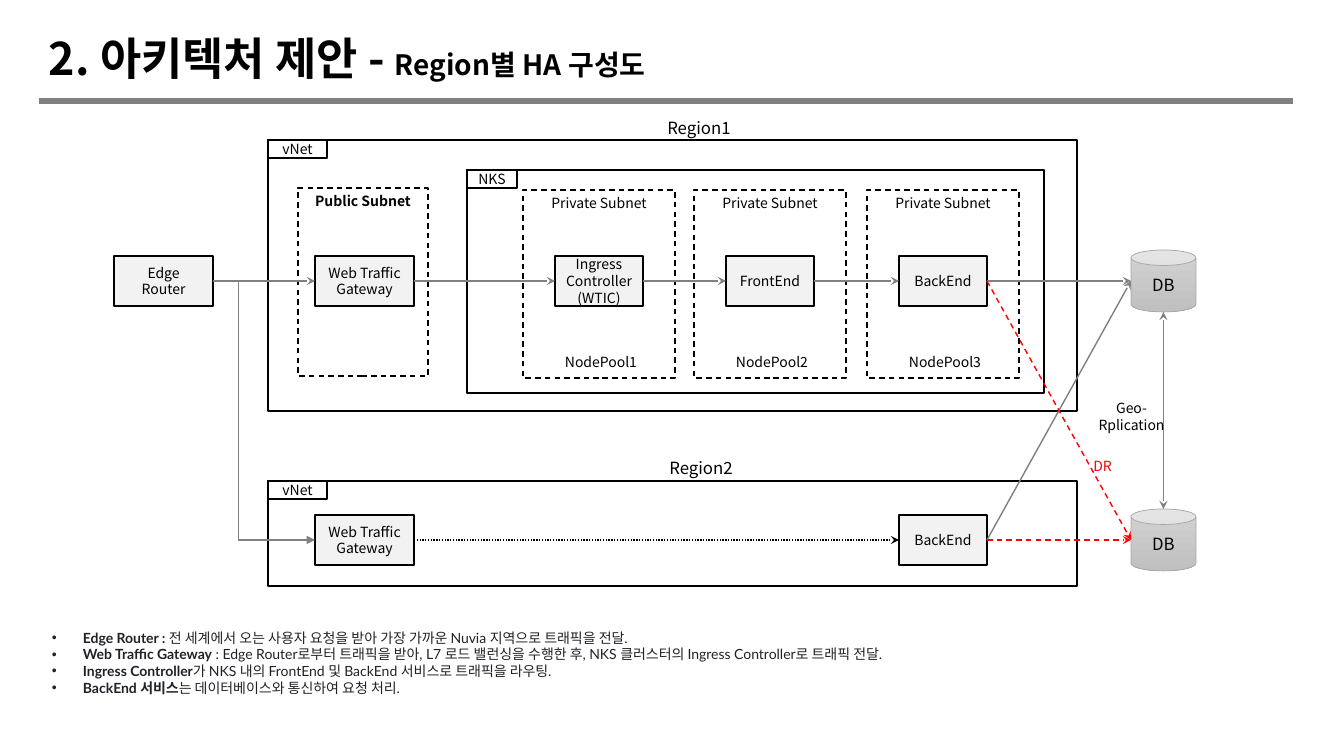
from lxml import etree
from pptx import Presentation
from pptx.dml.color import RGBColor
from pptx.enum.dml import MSO_LINE
from pptx.enum.shapes import MSO_CONNECTOR, MSO_SHAPE
from pptx.enum.text import MSO_ANCHOR, PP_ALIGN
from pptx.oxml.ns import qn
from pptx.util import Emu, Pt

RECT, CAN = MSO_SHAPE.RECTANGLE, MSO_SHAPE.CAN
LINE, ELBOW = MSO_CONNECTOR.STRAIGHT, MSO_CONNECTOR.ELBOW
DASH, DOT = MSO_LINE.DASH, MSO_LINE.ROUND_DOT
MID, TOP = MSO_ANCHOR.MIDDLE, MSO_ANCHOR.TOP
LEFT, CENTER = PP_ALIGN.LEFT, PP_ALIGN.CENTER
SCALE = 914400 / 100.8
SANS, LATO = "Noto Sans CJK KR", "Lato"
COLORS = {"white": "FFFFFF", "black": "000000", "box": "F2F2F2", "gray": "808080",
          "red": "FF0000", "ink": "1F2328", "light": "D2D2D2", "dark": "C0C0C0",
          "rim": "A5A5A5"}

TITLE = [("2. 아키텍처 제안 - ", 32), ("Region별 HA 구성도", 20)]
NOTES = [
    ("Edge Router : ", "전 세계에서 오는 사용자 요청을 받아 가장 가까운 Nuvia 지역으로 트래픽을 전달."),
    ("Web Traffic Gateway", " : Edge Router로부터 트래픽을 받아, L7 로드 밸런싱을 수행한 후, "
     "NKS 클러스터의 Ingress Controller로 트래픽 전달."),
    ("Ingress Controller", "가 NKS 내의 FrontEnd 및 BackEnd 서비스로 트래픽을 라우팅."),
    ("BackEnd 서비스", "는 데이터베이스와 통신하여 요청 처리."),
]
FRAMES = [
    ("vNet", 59, (268, 140, 809, 271)),
    ("NKS", 50, (467, 170, 577, 223)),
    ("vNet", 59, (268, 481, 809, 105)),
]
PUBLIC = (298, 188, 130, 188)
POOLS = [523, 694, 867]
ROWS = [281, 540]
BOXES = {
    "edge": (114, 99, 0, ["Edge", "Router"]),
    "gate": (315, 99, 0, ["Web Traffic", "Gateway"]),
    "ingress": (POOLS[0] + 32, 88, 0, ["Ingress", "Controller", "(WTIC)"]),
    "front": (POOLS[1] + 32, 88, 0, ["FrontEnd"]),
    "back": (POOLS[2] + 32, 88, 0, ["BackEnd"]),
    "gate2": (315, 99, 1, ["Web Traffic", "Gateway"]),
    "back2": (POOLS[2] + 32, 88, 1, ["BackEnd"]),
}
DB = (1131, 65, 62)
LINKS = [
    ("edge", "gate", "gray", None),
    ("gate", "ingress", "gray", None),
    ("ingress", "front", "gray", None),
    ("front", "back", "gray", None),
    ("back", 0, "gray", None),
    ("gate2", "back2", "black", DOT),
    ("back2", 0, "gray", None),
    ("back", 1, "red", DASH),
    ("back2", 1, "red", DASH),
]
LABELS = [
    ((657, 113, 84, 30), ["Region1"], 12, "black"),
    ((659, 453, 84, 30), ["Region2"], 12, "black"),
    ((1073, 455, 59, 21), ["DR"], 10, "red"),
    ((1087, 403, 89, 26), ["Geo-", "Rplication"], 10, "black"),
]

deck = Presentation()
deck.slide_width, deck.slide_height = Emu(12192000), Emu(6858000)
slide = deck.slides.add_slide(deck.slide_layouts[6])
shapes = slide.shapes


def px(*vals):
    return [Emu(round(v * SCALE)) for v in vals]


def rgb(name):
    return RGBColor.from_string(COLORS[name])


def sub(node, tag, **attrs):
    return etree.SubElement(node, qn(tag), attrs)


def add_run(para, text, size, color="black", bold=False, face=SANS):
    run = para.add_run()
    run.text = text
    font = run.font
    font.size, font.bold, font.name = Pt(size), bold, face
    font.color.rgb = rgb(color)
    sub(run.font._element, "a:ea", typeface=SANS)


def set_frame(shape, inset=(0, 0), anchor=MID):
    frame = shape.text_frame
    frame.word_wrap, frame.vertical_anchor = True, anchor
    frame.margin_left, frame.margin_top = px(*inset)
    frame.margin_right, frame.margin_bottom = px(*inset)
    return frame


def write(shape, lines, size=10, color="black", bold=False):
    frame = set_frame(shape)
    for i, text in enumerate(lines):
        para = frame.add_paragraph() if i else frame.paragraphs[0]
        para.alignment = CENTER
        add_run(para, text, size, color, bold)


def add_label(area, lines, size=10, color="black", bold=False):
    write(shapes.add_textbox(*px(*area)), lines, size, color, bold)


def add_box(area, fill="white", dash=None):
    box = shapes.add_shape(RECT, *px(*area))
    box.shadow.inherit = False
    box.fill.solid()
    box.fill.fore_color.rgb = rgb(fill)
    box.line.color.rgb = rgb("black")
    box.line.width = Pt(1)
    if dash:
        box.line.dash_style = dash
        for tint in box._element.spPr.find(qn("a:solidFill")):
            sub(tint, "a:alpha", val="48000")
    return box


def add_link(kind, ends, color, dash=None, width=1, head=None, tail=None):
    link = shapes.add_connector(kind, *px(*ends))
    link.line.color.rgb = rgb(color)
    link.line.width = Pt(width)
    if dash:
        link.line.dash_style = dash
    props = link._element.spPr
    for tag, tip in (("a:headEnd", head), ("a:tailEnd", tail)):
        if tip:
            sub(props.find(qn("a:ln")), tag, type=tip)
    sub(props, "a:effectLst")
    return link


for name, wide, area in FRAMES:
    add_box(area)
    write(add_box((*area[:2], wide, 18)), [name])

add_box(PUBLIC, dash=DASH)
add_label((*PUBLIC[:3], 26), ["Public Subnet"], bold=True)
for i, x in enumerate(POOLS, 1):
    add_box((x, 190, 152, 188), dash=DASH)
    add_label((x, 190, 152, 26), ["Private Subnet"])
    add_label((x + 2, 349, 152, 26), [f"NodePool{i}"])

nodes = {}
for key, (x, wide, row, lines) in BOXES.items():
    nodes[key] = add_box((x, ROWS[row] - 25, wide, 50), "box")
    write(nodes[key], lines)

left, wide, high = DB
for y in ROWS:
    can = shapes.add_shape(CAN, *px(left, y - high / 2, wide, high))
    can.shadow.inherit = False
    can.fill.gradient()
    can.fill.gradient_angle = 270
    for stop, tone in zip(can.fill.gradient_stops, ("light", "dark")):
        stop.color.rgb = rgb(tone)
    can.line.color.rgb = rgb("rim")
    can.line.width = Pt(0.5)
    write(can, ["DB"], 12)

for start, end, color, dash in LINKS:
    y = ROWS[end] if end in (0, 1) else 0
    link = add_link(LINE, (0, 0, left, y), color, dash, tail="stealth")
    link.begin_connect(nodes[start], 3)
    if end in nodes:
        link.end_connect(nodes[end], 1)

bend = add_link(ELBOW, (213, ROWS[0], 315, ROWS[1]), "gray", tail="triangle")
guides = bend._element.spPr.find(qn("a:prstGeom")).find(qn("a:avLst"))
sub(guides, "a:gd", name="adj1", fmla="val 25000")
mid = left + wide / 2
add_link(LINE, (mid, ROWS[1] - high / 2, mid, ROWS[0] + high / 2), "gray",
         head="stealth", tail="stealth")

for label in LABELS:
    add_label(*label)

frame = set_frame(shapes.add_textbox(*px(39, 28, 774, 66)), (10, 5))
para = frame.paragraphs[0]
para.line_spacing = 0.9
for text, size in TITLE:
    add_run(para, text, size, bold=True)
add_link(LINE, (39, 101, 1293, 101), "gray", width=4)

frame = set_frame(shapes.add_textbox(*px(42, 624, 858, 78)), (10, 5), TOP)
for i, (term, text) in enumerate(NOTES):
    para = frame.add_paragraph() if i else frame.paragraphs[0]
    para.alignment = LEFT
    props = para._p.get_or_add_pPr()
    props.set("marL", str(px(31)[0]))
    props.set("indent", str(px(-31)[0]))
    sub(props, "a:buFont", typeface="Arial")
    sub(props, "a:buChar", char="•")
    add_run(para, term, 10, "ink", True, LATO)
    add_run(para, text, 10, "ink", False, LATO)

deck.save("out.pptx")
